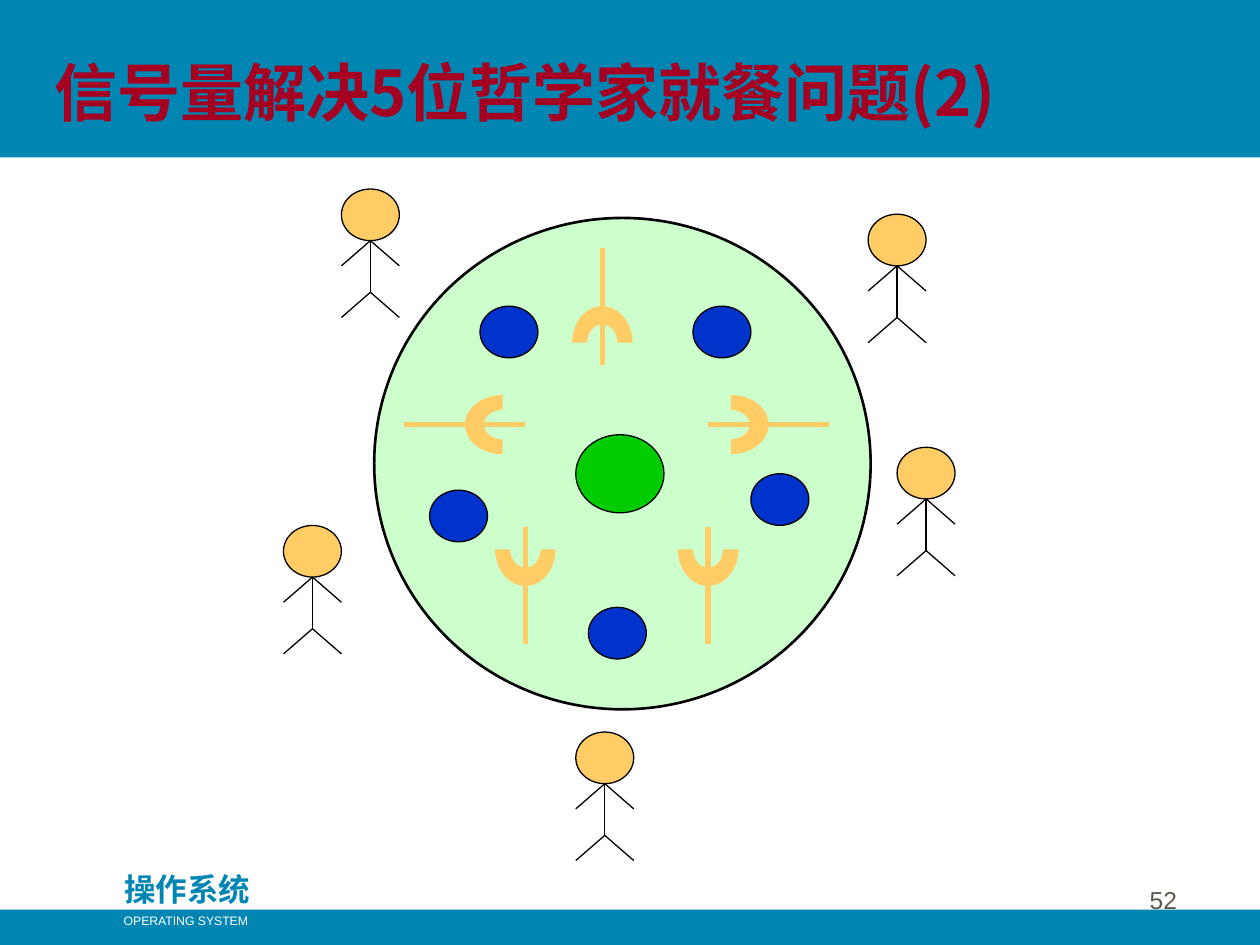
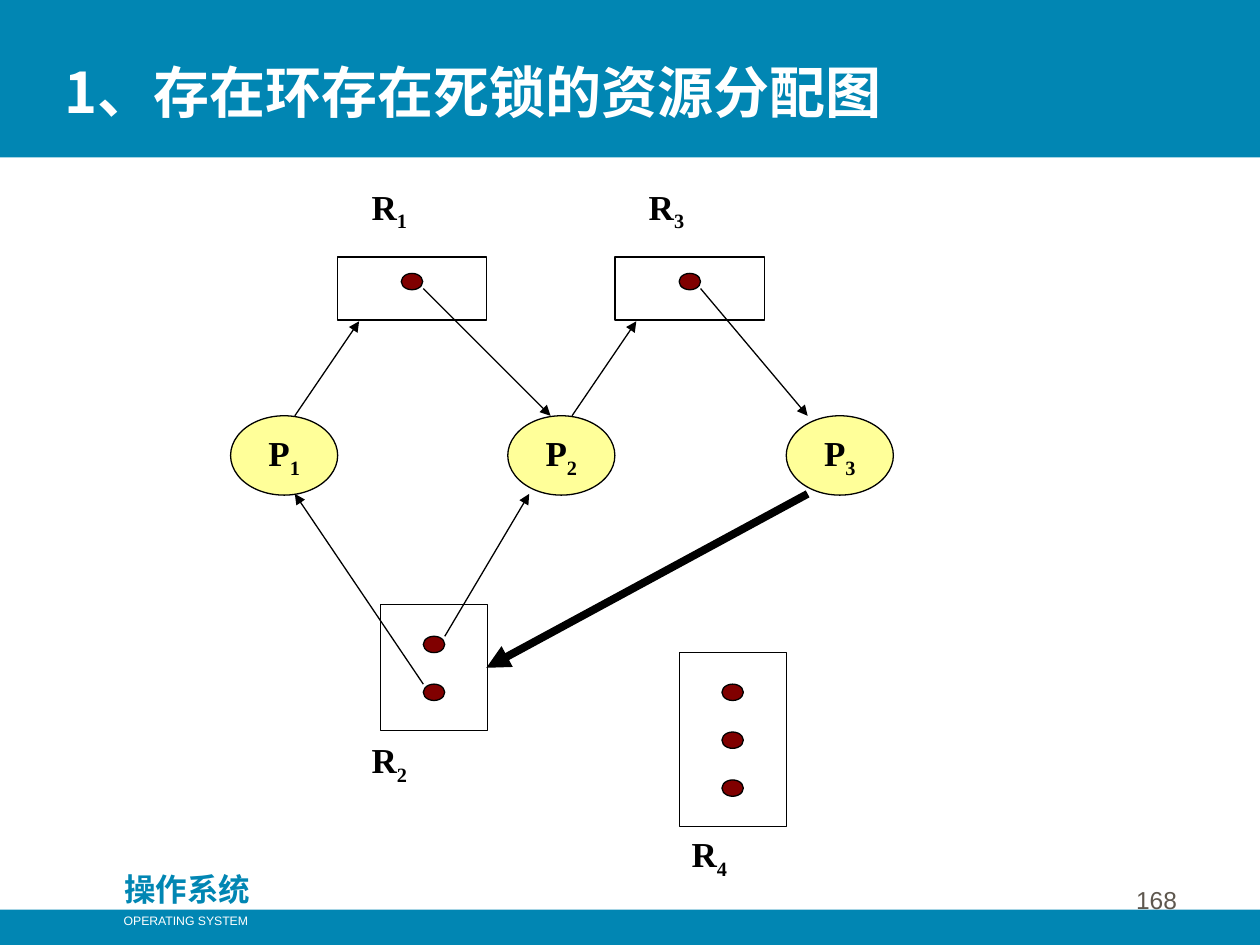
from dataclasses import dataclass

from lxml import etree
from pptx import Presentation
from pptx.dml.color import RGBColor
from pptx.enum.shapes import MSO_CONNECTOR, MSO_SHAPE
from pptx.enum.text import MSO_ANCHOR, MSO_AUTO_SIZE, PP_ALIGN
from pptx.oxml.ns import qn
from pptx.util import Inches, Pt

RECT, OVAL = MSO_SHAPE.RECTANGLE, MSO_SHAPE.OVAL
STRAIGHT = MSO_CONNECTOR.STRAIGHT
LEFT, CENTER, RIGHT = PP_ALIGN.LEFT, PP_ALIGN.CENTER, PP_ALIGN.RIGHT
TOP, MIDDLE, BOTTOM = MSO_ANCHOR.TOP, MSO_ANCHOR.MIDDLE, MSO_ANCHOR.BOTTOM
GROW, FIXED = MSO_AUTO_SIZE.SHAPE_TO_FIT_TEXT, MSO_AUTO_SIZE.NONE


@dataclass(frozen=True)
class Theme:
    band: str = "0186B3"
    white: str = "FFFFFF"
    black: str = "000000"
    number: str = "5E574E"
    red_title: str = "A50021"
    table: str = "CCFFCC"
    plate: str = "0033CC"
    dish: str = "00CC00"
    gold: str = "FFCC66"
    process: str = "FFFF99"
    unit: str = "800000"
    cjk: str = "Noto Sans CJK SC"
    sans: str = "Arial"
    serif: str = "Times New Roman"
    long_title_size: int = 36
    title_size: int = 32
    course_size: int = 18
    caption_size: int = 7
    number_size: int = 14
    label_size: int = 20
    thin: float = 0.75
    rim: float = 1.5
    fork: float = 3
    thick: float = 4.5


T = Theme()


def write(sp, text, size, color, font, bold=False, align=LEFT, anchor=TOP,
          wrap=True, auto=FIXED, spacing=None):
    """Fill a shape with one paragraph; what follows "_" becomes a subscript."""
    tf = sp.text_frame
    tf.word_wrap, tf.auto_size, tf.vertical_anchor = wrap, auto, anchor
    p = tf.paragraphs[0]
    p.alignment = align
    if spacing:
        p.line_spacing = spacing
    for i, part in enumerate(text.split("_")):
        r = p.add_run()
        r.text = part
        r.font.size, r.font.bold, r.font.name = Pt(size), bold, font
        r.font.color.rgb = RGBColor.from_string(color)
        rPr = r._r.get_or_add_rPr()
        etree.SubElement(rPr, qn("a:ea")).set("typeface", font)
        if i:
            rPr.set("baseline", "-25000")


def paint(sp, fill=None, line=T.black, width=T.thin, arrow=False):
    """Format a shape or connector and return it."""
    if line:
        sp.line.color.rgb = RGBColor.from_string(line)
        sp.line.width = Pt(width)
    else:
        sp.line.fill.background()
    if arrow:
        etree.SubElement(sp.line._get_or_add_ln(), qn("a:tailEnd")).set("type", "triangle")
    if not hasattr(sp, "fill"):
        etree.SubElement(sp._element.spPr, qn("a:effectLst"))
        return sp
    sp.shadow.inherit = False
    if fill:
        sp.fill.solid()
        sp.fill.fore_color.rgb = RGBColor.from_string(fill)
    else:
        sp.fill.background()
    return sp


prs = Presentation()
prs.slide_width, prs.slide_height = Inches(10), Inches(7.5)
layout = prs.slide_layouts.get_by_name("Title Only")
dining, allocation = [prs.slides.add_slide(layout) for _ in range(2)]

# Bands and course name, moved into the shared layout
shapes = dining.shapes
frame = [paint(shapes.add_shape(RECT, 0, Inches(y), Inches(10), Inches(h)), T.band, None)
         for y, h in [(0, 1.25), (7.22, 0.28)]]
course = shapes.add_textbox(Inches(0.83), Inches(6.86), Inches(1.31), Inches(0.4))
write(course, "操作系统", T.course_size, T.band, T.cjk, bold=True, align=CENTER, auto=GROW)
caption = shapes.add_textbox(Inches(0.88), Inches(7.2), Inches(1.19), Inches(0.22))
write(caption, "OPERATING SYSTEM", T.caption_size, T.white, T.sans, align=CENTER,
      wrap=False, auto=GROW)
for sp in frame + [course, caption]:
    layout.shapes._spTree.append(sp._element)
for placeholder in list(layout.placeholders)[1:]:
    layout.shapes._spTree.remove(placeholder._element)

# Titles and page numbers
for s, text, box, size, color, spacing, page in [
    (dining, "信号量解决5位哲学家就餐问题(2)", (0.33, 0.59, 9.32, 0.46),
     T.long_title_size, T.red_title, 0.6, "52"),
    (allocation, "1、存在环存在死锁的资源分配图", (0.41, 0.41, 7.75, 0.64),
     T.title_size, T.white, None, "168"),
]:
    title = s.shapes.title
    title.left, title.top, title.width, title.height = map(Inches, box)
    write(title, text, size, color, T.cjk, bold=True, auto=GROW, spacing=spacing)
    number = s.shapes.add_textbox(Inches(7.36), Inches(6.81), Inches(2.08), Inches(0.5))
    write(number, page, T.number_size, T.number, T.sans, align=RIGHT, anchor=BOTTOM)

# Dining table with plates
HEAD_W, HEAD_H = 0.46, 0.41
paint(shapes.add_shape(OVAL, Inches(2.97), Inches(1.73), Inches(3.94), Inches(3.9)),
      T.table, width=T.rim)
for x, y in [(3.81, 2.43), (5.5, 2.43), (5.96, 3.76), (4.67, 4.82), (3.41, 3.89)]:
    paint(shapes.add_shape(OVAL, Inches(x), Inches(y), Inches(HEAD_W), Inches(HEAD_H)), T.plate)

# Philosophers as stick figures: limbs are measured from the neck
LIMBS = [(0, 0, 0, 0.2), (0, 0.2, 0, 0.41), (0, 0.41, -0.23, 0.61),
         (0, 0.41, 0.23, 0.61), (0, 0, -0.23, 0.2), (0, 0, 0.23, 0.2)]
for x, y in [(6.89, 1.7), (7.12, 3.55), (4.57, 5.81), (2.71, 1.5), (2.25, 4.17)]:
    paint(shapes.add_shape(OVAL, Inches(x), Inches(y), Inches(HEAD_W), Inches(HEAD_H)), T.gold)
    neck_x, neck_y = x + HEAD_W / 2, y + HEAD_H
    for x1, y1, x2, y2 in LIMBS:
        paint(shapes.add_connector(STRAIGHT, Inches(neck_x + x1), Inches(neck_y + y1),
                                   Inches(neck_x + x2), Inches(neck_y + y2)))

paint(shapes.add_shape(OVAL, Inches(4.57), Inches(3.45), Inches(0.7), Inches(0.62)), T.dish)

# Forks: a handle and a half ring centred on (x, y), turned towards (dx, dy)
K = 0.55  # Bezier handle length for a quarter circle
half_circle = [(-1, 0), (-1, K), (-K, 1), (0, 1), (K, 1), (1, K), (1, 0)]
half_ring = ([(side / 2, out / 2) for side, out in half_circle]
             + half_circle[::-1])
CURVE_STARTS = (0, 3, 7, 10)
for x, y, w, h, dx, dy, turn in [
    (4.78, 2.72, 0.48, 0.58, 0, -1, 0),
    (3.99, 3.37, 0.47, 0.6, -1, 0, 270),
    (5.8, 3.37, 0.47, 0.6, 1, 0, 90),
    (5.62, 4.36, 0.48, 0.58, 0, 1, 180),
    (4.17, 4.36, 0.48, 0.58, 0, 1, 180),
]:
    paint(shapes.add_connector(STRAIGHT, Inches(x + 1.3 * h * dx), Inches(y + 1.3 * h * dy),
                               Inches(x - 0.3 * h * dx), Inches(y - 0.3 * h * dy)),
          line=T.gold, width=T.fork)
    outline = [(Inches(x + side * w / 2), Inches(y - out * h / 2)) for side, out in half_ring]
    builder = shapes.build_freeform(*outline[0])
    builder.add_line_segments(outline[1:], close=True)
    sp = paint(builder.convert_to_shape(), T.gold, None)
    contour = next(sp._element.iter(qn("a:path")))
    segments = contour.findall(qn("a:lnTo"))
    for start in CURVE_STARTS:
        curve = etree.Element(qn("a:cubicBezTo"))
        segments[start].addprevious(curve)
        for segment in segments[start:start + 3]:
            curve.append(segment[0])
            contour.remove(segment)
    # The box spans the full ellipse, so that it turns about the ring centre
    contour.set("h", str(2 * sp.height))
    sp.height = 2 * sp.height
    sp.rotation = turn

# Resources with their units, and processes
shapes = allocation.shapes
UNIT_W, UNIT_H, UNIT_STEP = 0.17, 0.13, 0.38
for name, (x, y, w, h), units, inset, label_x, label_y in [
    ("R_1", (2.68, 2.04, 1.18, 0.5), 1, 0.13, 2.85, 1.42),
    ("R_2", (3.02, 4.8, 0.85, 1), 2, 0.25, 2.85, 5.81),
    ("R_3", (4.88, 2.04, 1.19, 0.5), 1, 0.13, 5.05, 1.42),
    ("R_4", (5.39, 5.18, 0.85, 1.38), 3, 0.25, 5.39, 6.56),
]:
    paint(shapes.add_shape(RECT, Inches(x), Inches(y), Inches(w), Inches(h)))
    for i in range(units):
        paint(shapes.add_shape(OVAL, Inches(x + (w - UNIT_W) / 2),
                               Inches(y + inset + i * UNIT_STEP),
                               Inches(UNIT_W), Inches(UNIT_H)), T.unit)
    label = shapes.add_textbox(Inches(label_x), Inches(label_y), Inches(1.02), Inches(0.48))
    write(label, name, T.label_size, T.black, T.serif, bold=True, auto=GROW)

for name, x in [("P_1", 1.83), ("P_2", 4.03), ("P_3", 6.24)]:
    sp = paint(shapes.add_shape(OVAL, Inches(x), Inches(3.3), Inches(0.85), Inches(0.63)),
               T.process)
    write(sp, name, T.label_size, T.black, T.serif, bold=True, align=CENTER,
          anchor=MIDDLE, wrap=False)

# Request and assignment edges
for *ends, width in [
    (2.34, 3.3, 2.85, 2.55, T.thin),
    (3.36, 2.29, 4.37, 3.3, T.thin),
    (4.54, 3.3, 5.05, 2.55, T.thin),
    (5.56, 2.29, 6.41, 3.3, T.thin),
    (3.53, 5.05, 4.2, 3.92, T.thin),
    (3.36, 5.43, 2.34, 3.92, T.thin),
    (6.41, 3.92, 3.86, 5.3, T.thick),
]:
    paint(shapes.add_connector(STRAIGHT, *map(Inches, ends)), width=width, arrow=True)

prs.save("out.pptx")
